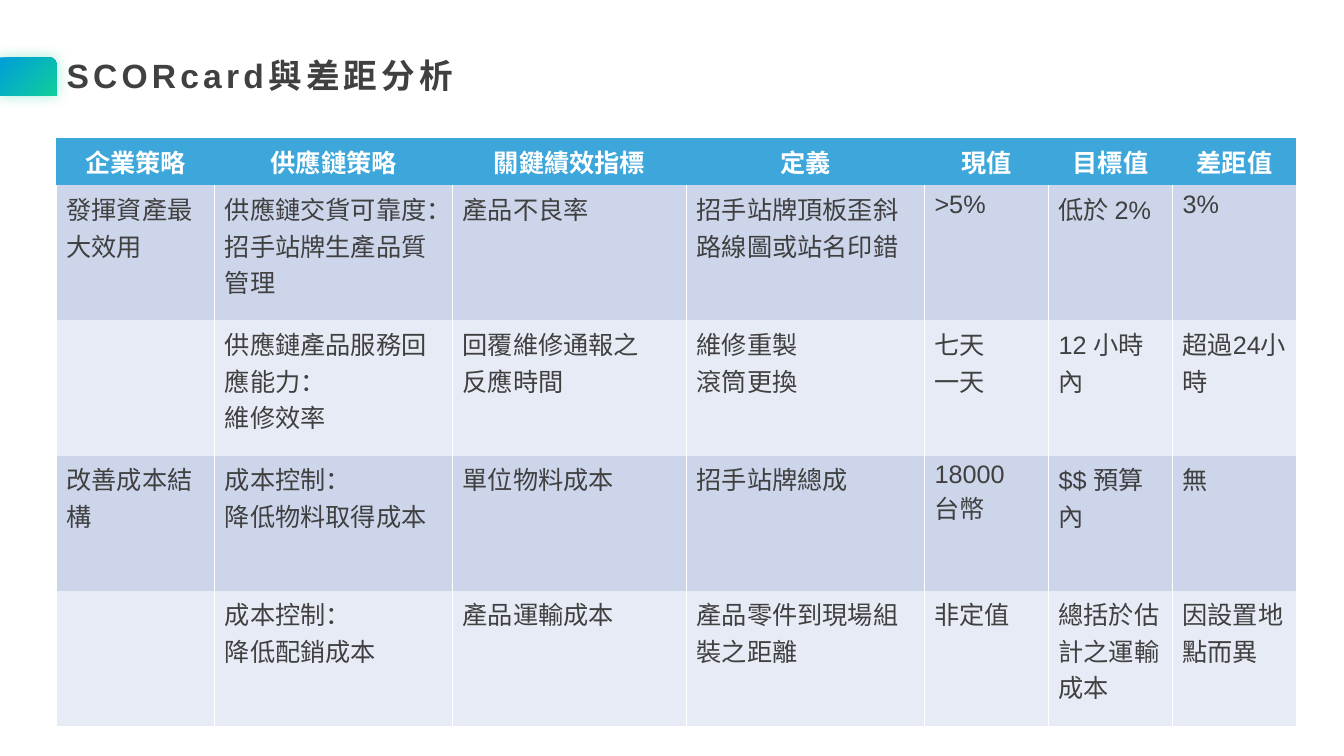
import pptx
import pptx.dml.color
import pptx.enum.shapes
import pptx.enum.text
import pptx.oxml
import pptx.util
from dataclasses import dataclass

Inches = pptx.util.Inches
Color = pptx.dml.color.RGBColor.from_string
ALIGN = pptx.enum.text.PP_ALIGN
ANCHOR = pptx.enum.text.MSO_ANCHOR

TITLE = "SCORcard與差距分析"
HEADERS = ["企業策略", "供應鏈策略", "關鍵績效指標", "定義", "現值", "目標值", "差距值"]
ROWS = [
    ["發揮資產最大效用", "供應鏈交貨可靠度：\n招手站牌生產品質管理", "產品不良率",
     "招手站牌頂板歪斜\n路線圖或站名印錯", ">5%", "低於 2%", "3%"],
    ["", "供應鏈產品服務回應能力：\n維修效率", "回覆維修通報之\n反應時間",
     "維修重製\n滾筒更換", "七天\n一天", "12 小時內", "超過24小時"],
    ["改善成本結構", "成本控制：\n降低物料取得成本", "單位物料成本",
     "招手站牌總成", "18000\n台幣", "$$ 預算內", "無"],
    ["", "成本控制：\n降低配銷成本", "產品運輸成本",
     "產品零件到現場組裝之距離", "非定值", "總括於估計之運輸成本", "因設置地點而異"],
]
COLUMN_WIDTHS = [1.57, 2.36, 2.32, 2.36, 1.23, 1.23, 1.23]
HEADER_HEIGHT, ROW_HEIGHT = 0.47, 1.34
TABLE_LEFT, TABLE_TOP = 0.56, 1.37


@dataclass(frozen=True)
class Theme:
    font: str = "Arial"
    title_size: int = 24
    table_size: int = 18
    text: str = "404040"
    white: str = "FFFFFF"
    header: str = "3DA6DB"
    bands: tuple = ("CCD5EA", "E7EBF5")
    green: str = "10CF9B"
    blue: str = "009DD9"


THEME = Theme()
NAMESPACE = 'xmlns:a="http://schemas.openxmlformats.org/drawingml/2006/main"'


def set_font(paragraph, size, color, bold):
    font = paragraph.font
    font.name = THEME.font
    font.size = pptx.util.Pt(size)
    font.bold = bold
    font.color.rgb = Color(color)


def add_title(slide):
    title = slide.shapes.title
    title.left, title.top = Inches(0.56), Inches(0.49)
    title.width, title.height = Inches(4.12), Inches(0.5)
    frame = title.text_frame
    frame.text = TITLE
    frame.word_wrap = False
    frame.auto_size = pptx.enum.text.MSO_AUTO_SIZE.NONE
    frame.vertical_anchor = ANCHOR.MIDDLE
    paragraph = frame.paragraphs[0]
    paragraph.alignment = ALIGN.LEFT
    set_font(paragraph, THEME.title_size, THEME.text, True)
    paragraph.runs[0].font._element.set("spc", "300")


def add_title_tab(slide):
    tab = slide.shapes.add_shape(
        pptx.enum.shapes.MSO_SHAPE.ROUND_1_RECTANGLE,
        0, Inches(0.57), Inches(0.56), Inches(0.38))
    tab.line.fill.background()
    tab.shadow.inherit = False
    properties = tab._element.spPr
    gradient = pptx.oxml.parse_xml(
        f'<a:gradFill {NAMESPACE} rotWithShape="1"><a:gsLst>'
        f'<a:gs pos="0"><a:srgbClr val="{THEME.green}"/></a:gs>'
        f'<a:gs pos="100000"><a:srgbClr val="{THEME.blue}"/></a:gs></a:gsLst>'
        '<a:path path="circle"><a:fillToRect l="100000" t="100000"/></a:path>'
        '</a:gradFill>')
    properties.find(pptx.oxml.ns.qn("a:prstGeom")).addnext(gradient)
    glow = pptx.oxml.parse_xml(
        f'<a:outerShdw {NAMESPACE} blurRad="127000" dist="0" algn="ctr" rotWithShape="0">'
        f'<a:srgbClr val="{THEME.green}"><a:alpha val="40000"/></a:srgbClr></a:outerShdw>')
    properties.find(pptx.oxml.ns.qn("a:effectLst")).append(glow)


def set_borders(cell, white_sides):
    properties = cell._tc.get_or_add_tcPr()
    for position, side in enumerate("LRTB"):
        fill = (f'<a:solidFill><a:srgbClr val="{THEME.white}"/></a:solidFill>'
                if side in white_sides else "<a:noFill/>")
        properties.insert(position, pptx.oxml.parse_xml(
            f'<a:ln{side} {NAMESPACE} w="12700">{fill}</a:ln{side}>'))


def format_cell(cell, text, row):
    is_header = row == 0
    cell.text = text
    cell.fill.solid()
    cell.fill.fore_color.rgb = Color(
        THEME.header if is_header else THEME.bands[(row - 1) % 2])
    cell.vertical_anchor = ANCHOR.MIDDLE if is_header else ANCHOR.TOP
    for paragraph in cell.text_frame.paragraphs:
        paragraph.alignment = ALIGN.CENTER if is_header else ALIGN.LEFT
        set_font(paragraph, THEME.table_size,
                 THEME.white if is_header else THEME.text, is_header)
    set_borders(cell, "" if is_header else "LR")


def add_scorecard(slide):
    content = [HEADERS] + ROWS
    heights = [HEADER_HEIGHT] + [ROW_HEIGHT] * len(ROWS)
    table = slide.shapes.add_table(
        len(content), len(HEADERS), Inches(TABLE_LEFT), Inches(TABLE_TOP),
        Inches(sum(COLUMN_WIDTHS)), Inches(sum(heights))).table
    for column, width in zip(table.columns, COLUMN_WIDTHS):
        column.width = Inches(width)
    for row, (texts, height) in enumerate(zip(content, heights)):
        table.rows[row].height = Inches(height)
        for column, text in enumerate(texts):
            format_cell(table.cell(row, column), text, row)


def main():
    presentation = pptx.Presentation()
    presentation.slide_width = Inches(13.33)
    presentation.slide_height = Inches(7.5)
    slide = presentation.slides.add_slide(presentation.slide_layouts[5])
    add_title_tab(slide)
    add_title(slide)
    add_scorecard(slide)
    presentation.save("out.pptx")


if __name__ == "__main__":
    main()
